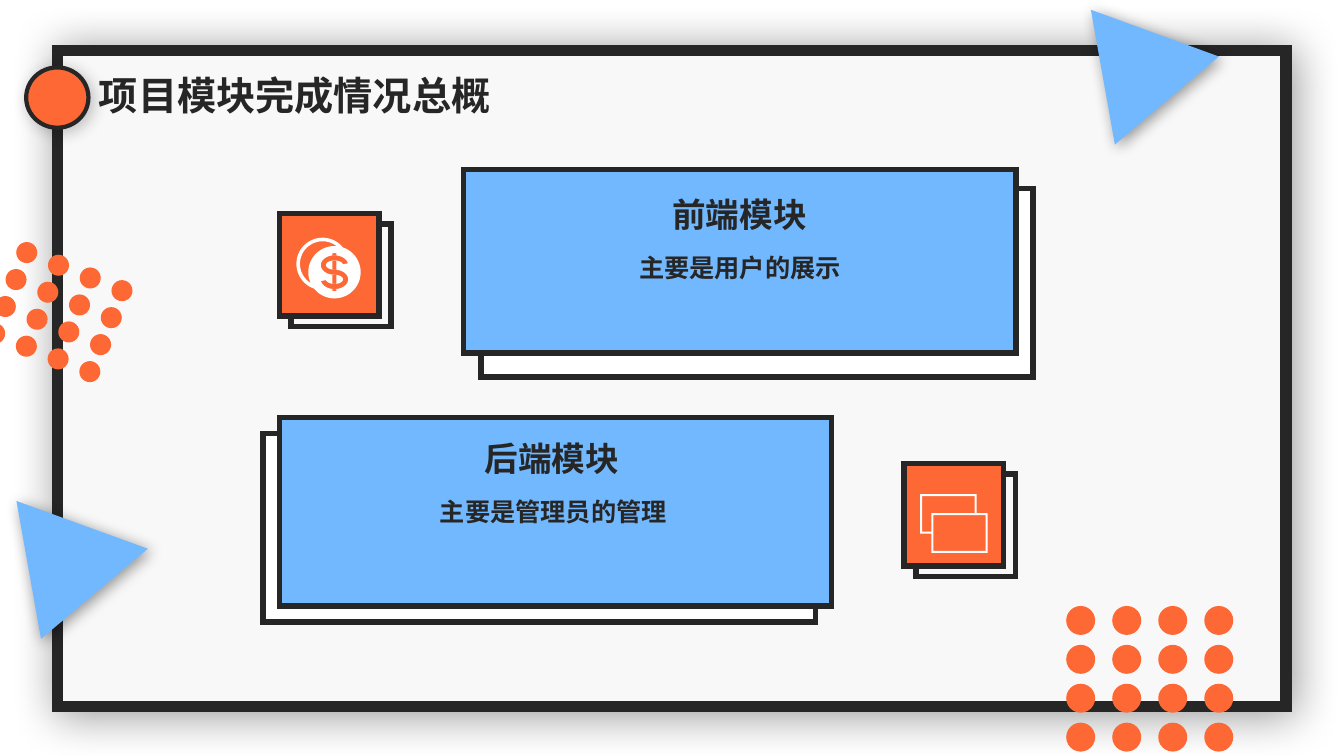
import dataclasses
import math

import pptx
import pptx.dml.color
import pptx.enum.shapes
import pptx.enum.text
import pptx.oxml.ns
import pptx.util

Cm = pptx.util.Cm
Pt = pptx.util.Pt
SHAPE = pptx.enum.shapes.MSO_SHAPE
ALIGN = pptx.enum.text.PP_ALIGN
qn = pptx.oxml.ns.qn


@dataclasses.dataclass(frozen=True)
class Theme:
    ink: str = "262626"
    paper: str = "F8F8F8"
    white: str = "FFFFFF"
    orange: str = "FE6835"
    blue: str = "72B8FF"
    font: str = "Arial"
    title: int = 28
    heading: int = 24
    body: int = 18


THEME = Theme()


# Blocks and shadows

def add_xml(parent, tag, **values):
    child = parent.makeelement(qn(tag), values)
    parent.append(child)
    return child


def paint(shape, color):
    shape.fill.solid()
    shape.fill.fore_color.rgb = pptx.dml.color.RGBColor.from_string(color)
    shape.line.fill.background()
    shape.shadow.inherit = False


def add_block(slide, kind, box, color, border=0, rotation=0):
    block = slide.shapes.add_shape(kind, *map(Cm, box))
    paint(block, color)
    block.rotation = rotation
    if border:
        block.line.color.rgb = pptx.dml.color.RGBColor.from_string(THEME.ink)
        block.line.width = Pt(border)
        add_xml(block.element.spPr.find(qn("a:ln")), "a:miter", lim="800000")
    return block


def cast_shadow(shape, blur, opacity):
    effects = shape.element.spPr.find(qn("a:effectLst"))
    shadow = add_xml(effects, "a:outerShdw", blurRad=str(Pt(blur)), dist=str(Pt(3)),
                     dir="2700000", algn="tl", rotWithShape="0")
    tint = add_xml(shadow, "a:srgbClr", val="000000")
    add_xml(tint, "a:alpha", val=str(opacity * 1000))


def add_tile(slide, left, top):
    """Orange square with an offset backing."""
    width, height = 2.51, 2.59
    add_block(slide, SHAPE.RECTANGLE, (left + 0.3, top + 0.26, width, height), THEME.paper, 4)
    add_block(slide, SHAPE.RECTANGLE, (left, top, width, height), THEME.orange, 4)


def add_dots(slide, start, size, across, down):
    """Four by four dots along two step vectors."""
    for row in range(4):
        for column in range(4):
            left, top = (s + column * a + row * d for s, a, d in zip(start, across, down))
            add_block(slide, SHAPE.OVAL, (left, top, size, size), THEME.orange)


# Icons: contours in centimetres, where an inner contour cuts a hole

def arc(center, radii, start, end, steps=32):
    angles = [math.radians(start + (end - start) * i / steps) for i in range(steps + 1)]
    return [(center[0] + radii[0] * math.cos(a), center[1] + radii[1] * math.sin(a))
            for a in angles]


def rectangle(left, top, right, bottom):
    return [(left, top), (right, top), (right, bottom), (left, bottom)]


def coin_contours():
    """A ring partly behind a coin that carries a dollar sign."""
    back, coin, radius, rim = (8.13, 6.65), (8.43, 6.86), 0.66, 0.09
    distance = math.dist(back, coin)
    heading = math.degrees(math.atan2(coin[1] - back[1], coin[0] - back[0]))

    def crossing(near, far):
        """Angle from the line of centres to where the two circles meet."""
        cosine = (near ** 2 + distance ** 2 - far ** 2) / (2 * near * distance)
        return math.degrees(math.acos(cosine))

    def back_arc(size):
        turn = crossing(size, radius)
        return arc(back, (size, size), heading + turn, heading + 360 - turn)

    def coin_arc(back_size, side):
        turn = crossing(radius, back_size)
        reach = 180 - turn if side == "outer" else -180 - turn
        start, end = (-reach, reach) if side == "outer" else (180 + turn, 180 - turn)
        return arc(coin, (radius, radius), heading + start, heading + end)

    silhouette = back_arc(radius) + coin_arc(radius, "outer")
    gap = back_arc(radius - rim) + coin_arc(radius - rim, "inner")
    return [silhouette, gap, *dollar_contours(*coin)]


def dollar_contours(x, y):
    """An S of two bowls, with a stem through it."""
    wide, tall, half_stroke, half_stem, stem_end = 0.28, 0.18, 0.065, 0.05, 0.48

    def s_edge(offset):
        upper = arc((x, y - tall), (wide + offset, tall + offset), -10, -270)
        lower = arc((x, y + tall), (wide - offset, tall - offset), -90, 170)
        return upper + lower

    contours = [s_edge(half_stroke) + s_edge(-half_stroke)[::-1]]
    for near, far in [(half_stroke, 2 * tall - half_stroke),
                      (2 * tall + half_stroke, stem_end)]:
        for side in (-1, 1):
            contours.append(rectangle(x - half_stem, y + side * near,
                                      x + half_stem, y + side * far))
    return contours


def window_contours():
    """Two framed windows, the front one covering a corner of the other."""
    left, top, width, height, rim = 23.19, 12.45, 1.42, 1.0, 0.05
    front_left, front_top = left + 0.28, top + 0.48
    contours = []
    for inset in (0, rim):
        right, bottom = left + width - inset, top + height - inset
        contours.append([(left + inset, top + inset), (right, top + inset),
                         (right, front_top), (front_left, front_top),
                         (front_left, bottom), (left + inset, bottom)])
        contours.append(rectangle(front_left + inset, front_top + inset,
                                  front_left + width - inset, front_top + height - inset))
    return contours


def add_icon(slide, contours):
    outline, *others = [[(Cm(x), Cm(y)) for x, y in contour] for contour in contours]
    builder = slide.shapes.build_freeform(*outline[0])
    builder.add_line_segments(outline[1:], close=True)
    for contour in others:
        builder.move_to(*contour[0])
        builder.add_line_segments(contour[1:], close=True)
    paint(builder.convert_to_shape(), THEME.white)


# Text

def set_text(slide, index, text, box, size, align=ALIGN.LEFT, spacing=1.0, wrap=False):
    """Fill, place and format a placeholder, and bring it to the front."""
    holder = slide.placeholders[index]
    slide.shapes.element.append(holder.element)
    holder.text = text
    paragraph = holder.text_frame.paragraphs[0]
    font = paragraph.runs[0].font
    formats = [
        (holder, dict(zip(("left", "top", "width", "height"), map(Cm, box)))),
        (holder.text_frame, {"word_wrap": wrap,
                             "auto_size": pptx.enum.text.MSO_AUTO_SIZE.SHAPE_TO_FIT_TEXT,
                             "vertical_anchor": pptx.enum.text.MSO_ANCHOR.TOP}),
        (paragraph, {"alignment": align, "line_spacing": spacing, "space_before": Pt(0)}),
        (font, {"name": THEME.font, "size": Pt(size), "bold": True}),
        (font.color, {"rgb": pptx.dml.color.RGBColor.from_string(THEME.ink)}),
    ]
    for target, values in formats:
        for name, value in values.items():
            setattr(target, name, value)
    # No bullet, no indent
    properties = holder.element.find(".//" + qn("a:pPr"))
    for side in ("marL", "indent"):
        properties.set(side, "0")
    add_xml(properties, "a:buNone")


def main():
    deck = pptx.Presentation()
    deck.slide_width, deck.slide_height = Cm(33.87), Cm(19.05)
    slide = deck.slides.add_slide(deck.slide_layouts.get_by_name("Comparison"))

    # Frame and title
    frame = add_block(slide, SHAPE.RECTANGLE, (1.45, 1.27, 30.96, 16.54), THEME.paper, 8)
    cast_shadow(frame, blur=32, opacity=40)
    knob = add_block(slide, SHAPE.OVAL, (0.66, 1.7, 1.57, 1.52), THEME.orange, 3)
    cast_shadow(knob, blur=12, opacity=23)
    set_text(slide, 0, "项目模块完成情况总概", (2.24, 1.68, 10.87, 1.45), THEME.title)

    # Module cards over their backings
    for left, top, height, color in [(6.63, 10.92, 4.75, THEME.white),
                                     (12.12, 4.75, 4.75, THEME.white),
                                     (11.68, 4.27, 4.62, THEME.blue),
                                     (7.04, 10.52, 4.75, THEME.blue)]:
        add_block(slide, SHAPE.RECTANGLE, (left, top, 13.92, height), color, 4)

    # Icon tiles
    for corner, contours in [((7.04, 5.38), coin_contours()),
                             ((22.78, 11.68), window_contours())]:
        add_tile(slide, *corner)
        add_icon(slide, contours)

    # Module texts
    for index, heading, heading_at, body, body_at in [
            (1, "前端模块", (16.69, 4.75), "主要是用户的展示", (12.42, 5.84)),
            (3, "后端模块", (11.96, 10.9), "主要是管理员的管理", (7.72, 11.99))]:
        set_text(slide, index + 1, body, (*body_at, 12.45, 2.57), THEME.body,
                 ALIGN.CENTER, spacing=1.5, wrap=True)
        set_text(slide, index, heading, (*heading_at, 3.94, 1.27), THEME.heading)

    # Triangles and dots at the edges
    for box in [(27.53, 0.2, 3.45, 2.97), (0.46, 12.57, 3.53, 3.05)]:
        triangle = add_block(slide, SHAPE.ISOSCELES_TRIANGLE, box, THEME.blue, rotation=79.9)
        cast_shadow(triangle, blur=11, opacity=40)
    add_dots(slide, (26.87, 15.27), 0.73, across=(1.16, 0), down=(0, 0.98))
    add_dots(slide, (0.41, 6.1), 0.53, across=(0.8, 0.32), down=(-0.27, 0.68))

    deck.save("out.pptx")


if __name__ == "__main__":
    main()
